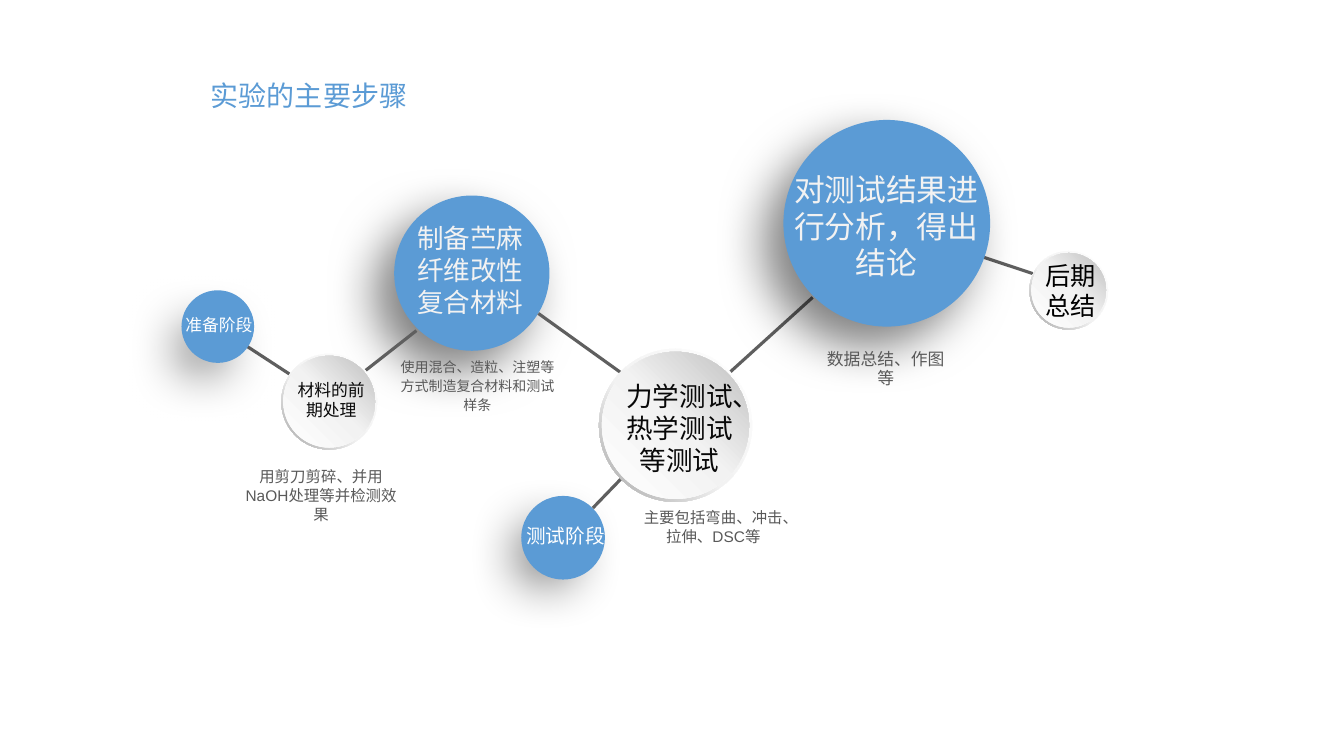
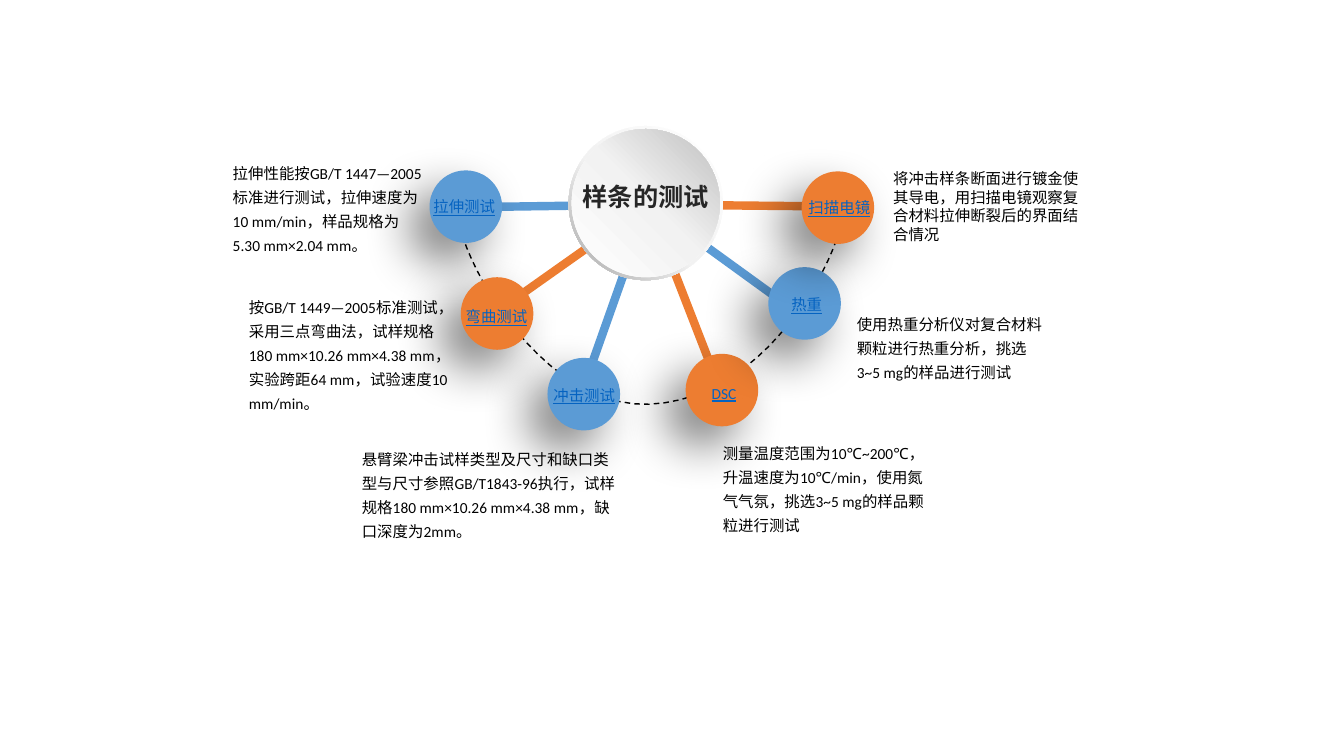
from dataclasses import dataclass
from itertools import cycle

from lxml.etree import SubElement
from pptx import Presentation
from pptx.dml.color import RGBColor
from pptx.enum.dml import MSO_LINE
from pptx.enum.shapes import MSO_CONNECTOR, MSO_SHAPE
from pptx.enum.text import MSO_AUTO_SIZE, PP_ALIGN
from pptx.oxml.ns import qn
from pptx.util import Emu, Pt

EMU_PER_PX = 9144  # 100 px to the inch

BLUE = "5B9BD5"
ORANGE = "ED7D31"
WHITE = "FFFFFF"
PALE = "F2F2F2"
BLACK = "000000"
INK = "080808"
HUB_INK = "262626"
GRAY = "595959"
LINK_GRAY = "5F5F5F"
LABEL_BLUE = "0563C1"

RIM_STOPS = ((0, WHITE), (55, PALE), (100, "A6A6A6"))
FACE_STOPS = ((0, WHITE), (51, PALE), (100, "BFBFBF"))

Point = tuple[int, int]
Box = tuple[int, int, int, int]
Circle = tuple[int, int, int]  # left, top, diameter


@dataclass(frozen=True)
class TextStyle:
    size: int
    color: str
    font: str = "Arial"
    align: PP_ALIGN = PP_ALIGN.CENTER
    bold: bool = False
    underline: bool = False
    wrap: bool = True
    spacing: float | Pt | None = None
    margins: Point = (10, 5)  # horizontal, vertical


@dataclass(frozen=True)
class Label:
    text: str
    box: Box
    style: TextStyle


@dataclass(frozen=True)
class Disc:
    shadowed: Circle
    face: Circle


@dataclass(frozen=True)
class Topic:
    name: str
    name_box: Box
    circle: Point
    spoke_end: Point
    note: str
    note_box: Box
    spacing: float = 1.3


def px(length: float) -> Emu:
    return Emu(round(length * EMU_PER_PX))


def rgb(color: str) -> RGBColor:
    return RGBColor.from_string(color)


# Shared drawing functions

def add_text(slide, label: Label) -> None:
    style = label.style
    frame = slide.shapes.add_textbox(*map(px, label.box)).text_frame
    frame.word_wrap = style.wrap
    frame.auto_size = MSO_AUTO_SIZE.SHAPE_TO_FIT_TEXT
    frame.margin_left = frame.margin_right = px(style.margins[0])
    frame.margin_top = frame.margin_bottom = px(style.margins[1])
    paragraph = frame.paragraphs[0]
    paragraph.text = label.text
    paragraph.alignment = style.align
    if style.spacing:
        paragraph.line_spacing = style.spacing
    font = paragraph.font
    font.name, font.size = style.font, Pt(style.size)
    font.bold, font.underline = style.bold, style.underline
    font.color.rgb = rgb(style.color)


def add_line(slide, start: Point, end: Point, color: str, width: float) -> None:
    connector = slide.shapes.add_connector(
        MSO_CONNECTOR.STRAIGHT, *map(px, start + end))
    connector.line.color.rgb = rgb(color)
    connector.line.width = Pt(width)
    SubElement(connector._element.spPr, qn("a:effectLst"))


def add_round(slide, kind: MSO_SHAPE, circle: Circle):
    left, top, size = circle
    shape = slide.shapes.add_shape(kind, *map(px, (left, top, size, size)))
    shape.shadow.inherit = False
    shape.line.fill.background()
    return shape


def add_circle(slide, circle: Circle, color: str, shadow: bool = False) -> None:
    shape = add_round(slide, MSO_SHAPE.OVAL, circle)
    shape.fill.solid()
    shape.fill.fore_color.rgb = rgb(color)
    if shadow:
        effects = shape._element.spPr.find(qn("a:effectLst"))
        outer = SubElement(effects, qn("a:outerShdw"), blurRad=str(Pt(35)),
                           dist=str(Pt(20)), dir="8100000", algn="tr",
                           rotWithShape="0")
        tint = SubElement(outer, qn("a:srgbClr"), val=BLACK)
        SubElement(tint, qn("a:alpha"), val="50000")


def set_gradient(shape, stops: tuple, angle: int) -> None:
    shape.fill.gradient()
    shape.fill.gradient_angle = angle
    stop_list = shape._element.spPr.find(qn("a:gradFill")).find(qn("a:gsLst"))
    for old_stop in list(stop_list):
        stop_list.remove(old_stop)
    for position, color in stops:
        stop = SubElement(stop_list, qn("a:gs"), pos=str(position * 1000))
        SubElement(stop, qn("a:srgbClr"), val=color)


def add_silver_button(slide, circle: Circle) -> None:
    left, top, size = circle
    rim = add_round(slide, MSO_SHAPE.DONUT, circle)
    rim.adjustments[0] = 0.05
    set_gradient(rim, RIM_STOPS, 225)
    inset = round(size * 0.022)
    face = add_round(slide, MSO_SHAPE.OVAL,
                     (left + inset, top + inset, size - 2 * inset))
    set_gradient(face, FACE_STOPS, 45)


# Slide 1: main steps

TITLE = TextStyle(20, BLUE, align=PP_ALIGN.RIGHT, margins=(9, 5))
STAGE_SMALL = TextStyle(12, WHITE, "Calibri", PP_ALIGN.LEFT, wrap=False)
STAGE_LARGE = TextStyle(14, WHITE, "Calibri", PP_ALIGN.LEFT, wrap=False)


def caption(size: int) -> TextStyle:
    return TextStyle(size, GRAY, spacing=Pt(13.5), margins=(8, 4))


LINKS_BEHIND = (
    ((969, 253), (1038, 276)),
    ((721, 372), (806, 295)),
    ((241, 341), (287, 371)),
)
LINKS_IN_FRONT = (
    ((362, 368), (413, 328)),
    ((534, 311), (619, 372)),
    ((588, 504), (616, 475)),
)
DISCS = (
    Disc((777, 119, 205), (781, 124, 195)),
    Disc((529, 498, 64), (517, 492, 83)),
    Disc((391, 194, 154), (394, 198, 147)),
    Disc((194, 300, 52), (180, 288, 72)),
)
SILVER_BUTTONS = ((279, 351, 95), (1021, 249, 78), (594, 346, 152))
STEP_LABELS = (
    Label("实验的主要步骤", (113, 73, 300, 43), TITLE),
    Label("对测试结果进行分析，得出结论", (765, 164, 228, 121), TextStyle(22, PALE)),
    Label("力学测试、热学测试等测试", (608, 372, 132, 106), TextStyle(19, INK)),
    Label("制备苎麻纤维改性复合材料", (393, 215, 147, 106), TextStyle(19, PALE)),
    Label("材料的前期处理", (279, 372, 99, 50), TextStyle(12, INK)),
    Label("用剪刀剪碎、并用NaOH处理等并检测效果", (234, 459, 169, 67), caption(11)),
    Label("使用混合、造粒、注塑等方式制造复合材料和测试样条",
          (389, 350, 169, 67), caption(10)),
    Label("主要包括弯曲、冲击、拉伸、DSC等", (623, 500, 169, 48), caption(11)),
    Label("数据总结、作图等", (804, 343, 149, 48), caption(12)),
    Label("准备阶段", (174, 307, 88, 30), STAGE_SMALL),
    Label("测试阶段", (512, 515, 99, 34), STAGE_LARGE),
    Label("后期总结", (1027, 253, 77, 71),
          TextStyle(18, BLACK, "Calibri", PP_ALIGN.LEFT)),
)


def build_steps(slide) -> None:
    for start, end in LINKS_BEHIND:
        add_line(slide, start, end, LINK_GRAY, 2.25)
    for disc in DISCS:
        add_circle(slide, disc.shadowed, BLUE, shadow=True)
        add_circle(slide, disc.face, BLUE)
    for start, end in LINKS_IN_FRONT:
        add_line(slide, start, end, LINK_GRAY, 2.25)
    for button in SILVER_BUTTONS:
        add_silver_button(slide, button)
    for label in STEP_LABELS:
        add_text(slide, label)


# Slide 2: specimen tests

HUB = (564, 125, 153)
HUB_CENTER = (643, 203)
TOPIC_SIZE = 72
TOPIC_NAME = TextStyle(11, LABEL_BLUE, "Calibri", PP_ALIGN.LEFT,
                       underline=True, wrap=False)
ORBIT_START = (460, 205)
ORBIT_CURVES = (
    ((489, 206), (803, 200), (835, 209)),
    ((841, 234), (770, 396), (644, 401)),
    ((518, 406), (432, 203), (460, 205)),
)
TOPICS = (
    Topic("拉伸测试", (420, 191, 82, 29), (426, 169), (434, 206),
          "拉伸性能按GB/T 1447—2005标准进行测试，拉伸速度为10 mm/min，"
          "样品规格为5.30 mm×2.04 mm。", (221, 152, 212, 106)),
    Topic("弯曲测试", (452, 300, 82, 29), (457, 275), (479, 319),
          "按GB/T 1449—2005标准测试，采用三点弯曲法，试样规格"
          "180 mm×10.26 mm×4.38 mm，实验跨距64 mm，试验速度10 mm/min。",
          (237, 285, 225, 130)),
    Topic("冲击测试", (539, 378, 82, 29), (543, 355), (574, 398),
          "悬臂梁冲击试样类型及尺寸和缺口类型与尺寸参照GB/T1843-96执行，"
          "试样规格180 mm×10.26 mm×4.38 mm，缺口深度为2mm。",
          (349, 436, 280, 104)),
    Topic("DSC", (696, 376, 45, 29), (680, 351), (716, 391),
          "测量温度范围为10℃~200℃，升温速度为10℃/min，使用氮气气氛，"
          "挑选3~5 mg的样品颗粒进行测试", (707, 430, 222, 106)),
    Topic("热重", (775, 288, 51, 29), (762, 265), (803, 319),
          "使用热重分析仪对复合材料颗粒进行热重分析，挑选3~5 mg的样品进行测试",
          (840, 302, 204, 82)),
    Topic("扫描电镜", (792, 192, 82, 29), (795, 170), (846, 205),
          "将冲击样条断面进行镀金使其导电，用扫描电镜观察复合材料拉伸断裂后的界面结合情况",
          (876, 163, 204, 84), spacing=1.0),
)


def curve_points(start: Point, curve: tuple, steps: int = 24) -> list:
    """Points along a cubic Bezier curve, without its start."""
    corners = (start, *curve)
    points = []
    for step in range(1, steps + 1):
        t = step / steps
        weights = ((1 - t) ** 3, 3 * t * (1 - t) ** 2, 3 * t * t * (1 - t), t ** 3)
        points.append(tuple(
            px(sum(weight * corner[axis] for weight, corner in zip(weights, corners)))
            for axis in (0, 1)))
    return points


def add_orbit(slide) -> None:
    builder = slide.shapes.build_freeform(*map(px, ORBIT_START))
    start = ORBIT_START
    for curve in ORBIT_CURVES:
        builder.add_line_segments(curve_points(start, curve), close=False)
        start = curve[-1]
    orbit = builder.convert_to_shape()
    orbit.shadow.inherit = False
    orbit.fill.background()
    orbit.line.color.rgb = rgb(BLACK)
    orbit.line.width = Pt(1)
    orbit.line.dash_style = MSO_LINE.DASH


def build_tests(slide) -> None:
    add_orbit(slide)
    for topic, color in zip(TOPICS, cycle((BLUE, ORANGE))):
        add_line(slide, HUB_CENTER, topic.spoke_end, color, 6)
    for topic, color in zip(TOPICS, cycle((BLUE, ORANGE))):
        add_circle(slide, (*topic.circle, TOPIC_SIZE), color, shadow=True)
    add_silver_button(slide, HUB)
    add_text(slide, Label("样条的测试", (567, 175, 147, 40),
                          TextStyle(18, HUB_INK, bold=True, wrap=False)))
    for topic in TOPICS:
        note_style = TextStyle(11, BLACK, "Calibri", PP_ALIGN.LEFT,
                               spacing=topic.spacing)
        add_text(slide, Label(topic.name, topic.name_box, TOPIC_NAME))
        add_text(slide, Label(topic.note, topic.note_box, note_style))


def main() -> None:
    presentation = Presentation()
    presentation.slide_width, presentation.slide_height = px(1333), px(750)
    for build in (build_steps, build_tests):
        build(presentation.slides.add_slide(presentation.slide_layouts[6]))
    presentation.save("out.pptx")


if __name__ == "__main__":
    main()
